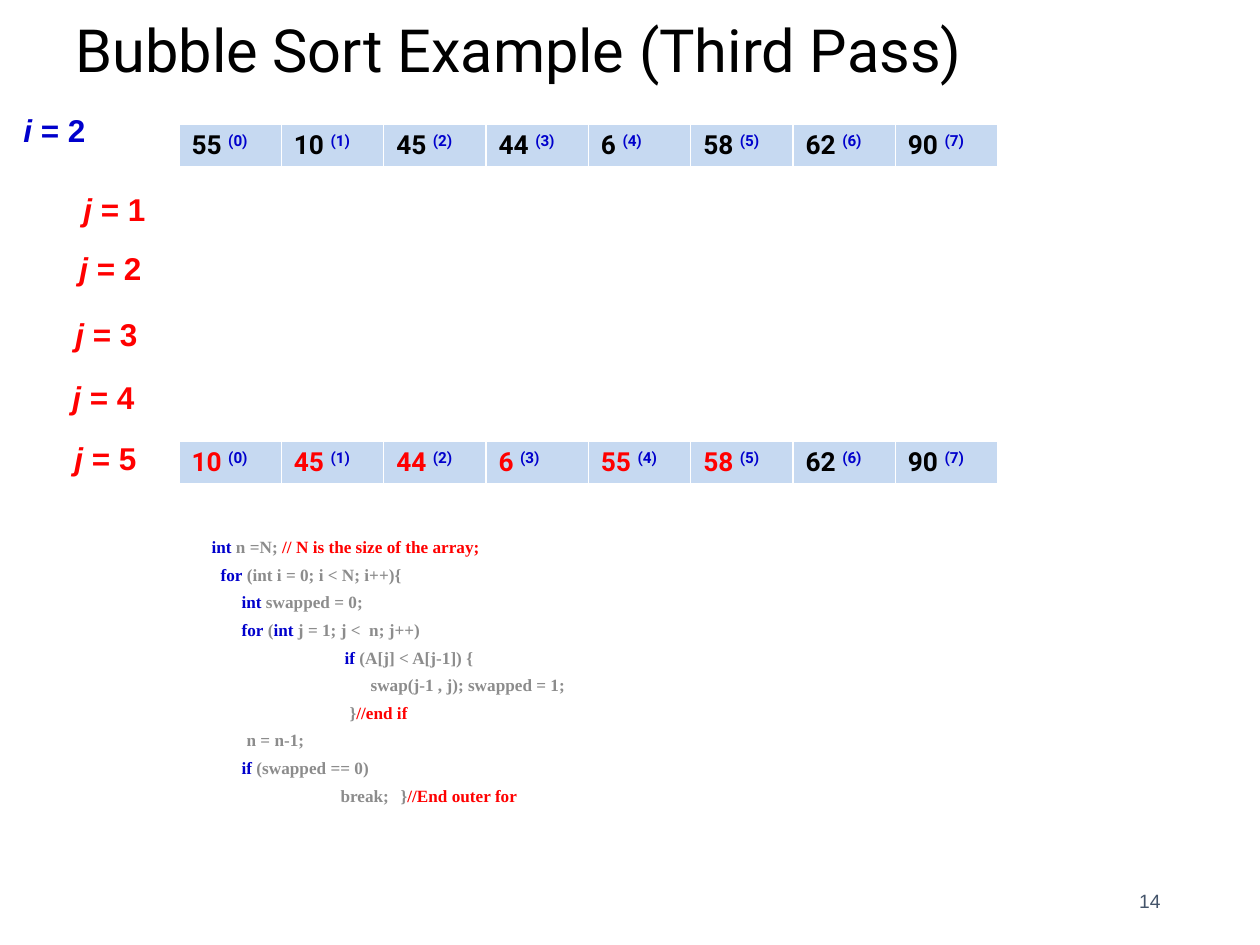
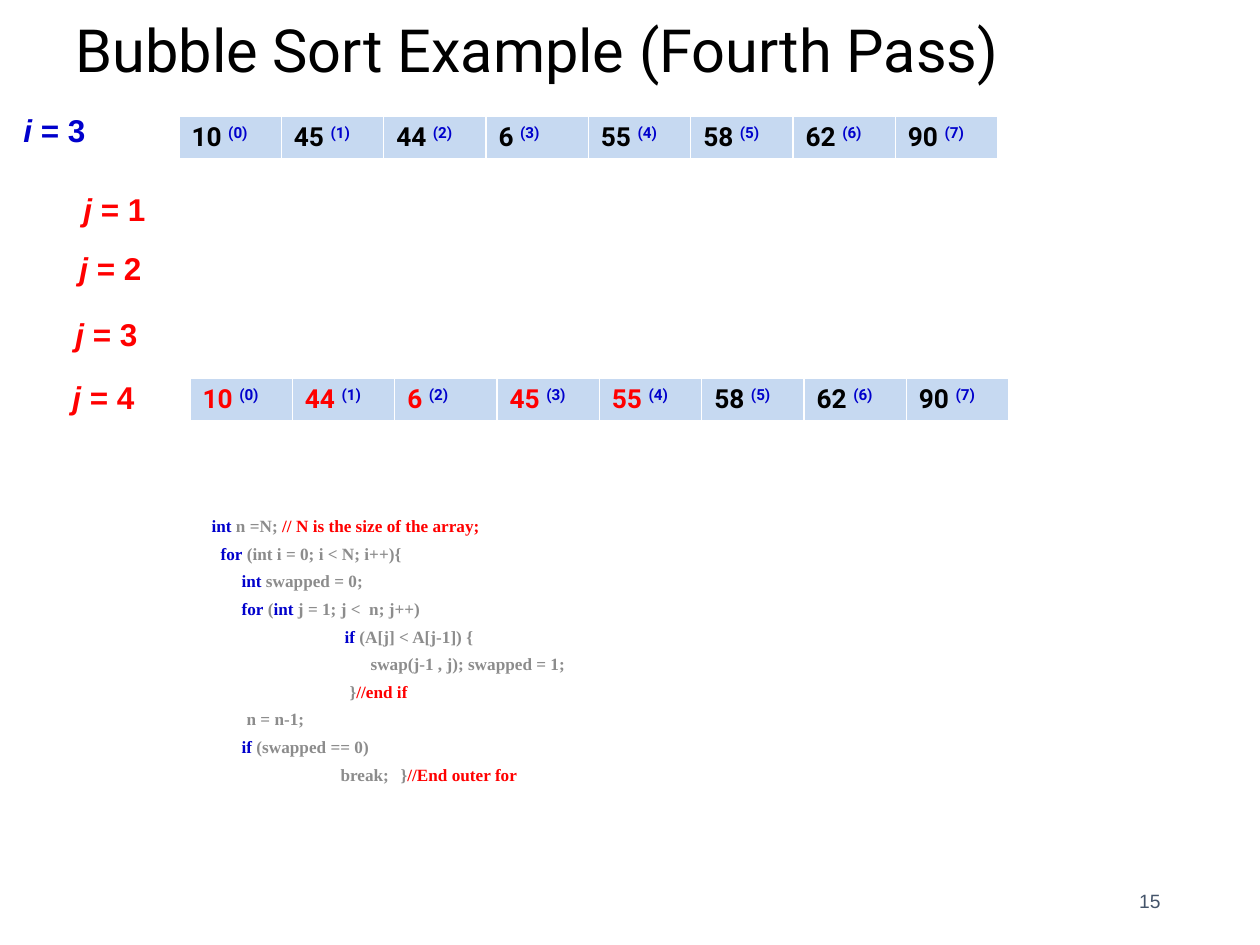
import pptx
import pptx.dml.color
import pptx.enum.text
import pptx.oxml
import pptx.oxml.ns
import pptx.util

EMU_PER_PX = 914400 / 126
COLORS = {"black": "000000", "blue": "0000CC", "red": "FF0000", "gray": "8C8C8C",
          "slate": "44546A", "cell": "C6D9F1", "white": "FFFFFF"}
ALIGN = pptx.enum.text.PP_ALIGN
ANCHOR = pptx.enum.text.MSO_ANCHOR
AUTO_SIZE = pptx.enum.text.MSO_AUTO_SIZE

STEP_SPOTS = [(71, 184), (67, 243), (63, 309), (60, 372), (62, 433)]
BRACE_TAB = 259  # where the closing brace of the outer loop stands

# Each line of code: its indent, then its pieces as (text, colour)
CODE = [
    (0, [("int", "blue"), (" n =N; ", "gray"), ("// N is the size of the array;", "red")]),
    (9, [("for", "blue"), (" (int i = 0; i < N; i++){", "gray")]),
    (30, [("int", "blue"), (" swapped = 0;", "gray")]),
    (30, [("for", "blue"), (" (", "gray"), ("int", "blue"), (" j = 1; j <  n; j++)", "gray")]),
    (133, [("if", "blue"), (" (A[j] < A[j-1]) {", "gray")]),
    (159, [("swap(j-1 , j); swapped = 1;", "gray")]),
    (138, [("}", "gray"), ("//end if", "red")]),
    (35, [("n = n-1;", "gray")]),
    (30, [("if ", "blue"), ("(swapped == 0)", "gray")]),
    (129, [("break;\t}", "gray"), ("//End outer for", "red")]),
]

# Arrays: left, top, values, and how many leading values are red
PASSES = [
    {"title": "Bubble Sort Example (Third Pass)", "i": 2, "steps": 5, "code_top": 536, "page": 14,
     "arrays": [(179, 124, [55, 10, 45, 44, 6, 58, 62, 90], 0),
                (179, 441, [10, 45, 44, 6, 55, 58, 62, 90], 6)]},
    {"title": "Bubble Sort Example (Fourth Pass)", "i": 3, "steps": 4, "code_top": 515, "page": 15,
     "arrays": [(179, 116, [10, 45, 44, 6, 55, 58, 62, 90], 0),
                (190, 378, [10, 44, 6, 45, 55, 58, 62, 90], 5)]},
]


def px(length):
    return pptx.util.Emu(round(length * EMU_PER_PX))


def rgb(color):
    return pptx.dml.color.RGBColor.from_string(COLORS[color])


def add_text(paragraph, text, font="Arial", size=18, color="black", bold=False,
             italic=False, raised=False):
    run = paragraph.add_run()
    run.text = text
    run.font.name = font
    run.font.size = pptx.util.Pt(size)
    run.font.color.rgb = rgb(color)
    run.font.bold = bold
    run.font.italic = italic
    if raised:
        run._r.get_or_add_rPr().set("baseline", "30000")


def add_border(cell, side, points):
    line = pptx.oxml.parse_xml(
        f'<a:ln{side} {pptx.oxml.ns.nsdecls("a")} w="{pptx.util.Pt(points)}"><a:solidFill>'
        f'<a:srgbClr val="{COLORS["white"]}"/></a:solidFill></a:ln{side}>')
    cell._tc.get_or_add_tcPr().append(line)


def indent_code(paragraph, indent):
    """Indent without a bullet; the tab stop is measured from the text edge."""
    properties = paragraph._p.get_or_add_pPr()
    properties.set("marL", "0")
    properties.set("indent", str(px(indent)))
    for inner in ("<a:buNone {}/>",
                  f'<a:tabLst {{}}><a:tab pos="{px(BRACE_TAB)}" algn="l"/></a:tabLst>'):
        properties.append(pptx.oxml.parse_xml(inner.format(pptx.oxml.ns.nsdecls("a"))))


class Deck:
    def __init__(self):
        self.presentation = pptx.Presentation()
        self.presentation.slide_width = px(1260)
        self.presentation.slide_height = px(945)
        self.slide = None

    def start_slide(self, title):
        self.slide = self.presentation.slides.add_slide(self.presentation.slide_layouts[1])
        frame = self.place(self.slide.shapes.title, 63, 0, 998, 92)
        frame.vertical_anchor = ANCHOR.BOTTOM
        heading = frame.paragraphs[0]
        heading.alignment = ALIGN.LEFT
        heading.line_spacing = 0.9
        add_text(heading, title, font="Roboto", size=34)

    def place(self, holder, left, top, width, height):
        holder.left, holder.top = px(left), px(top)
        holder.width, holder.height = px(width), px(height)
        holder.text_frame.auto_size = AUTO_SIZE.NONE
        return holder.text_frame

    def box(self, left, top, width, height, wrap):
        shape = self.slide.shapes.add_textbox(px(left), px(top), px(width), px(height))
        shape.text_frame.word_wrap = wrap
        return shape.text_frame

    def counter(self, name, value, left, top, color):
        frame = self.box(left, top, 87, 50, wrap=False)
        frame.auto_size = AUTO_SIZE.SHAPE_TO_FIT_TEXT
        add_text(frame.paragraphs[0], name, color=color, bold=True, italic=True)
        add_text(frame.paragraphs[0], f" = {value}", color=color, bold=True)

    def code(self, top):
        frame = self.place(self.slide.placeholders[1], 199, top, 630, 315)
        for number, (indent, pieces) in enumerate(CODE):
            line = frame.add_paragraph() if number else frame.paragraphs[0]
            line.line_spacing = 0.7
            line.space_before = pptx.util.Pt(7.5)
            indent_code(line, indent)
            for text, color in pieces:
                add_text(line, text, font="Times New Roman", size=9.8, color=color, bold=True)

    def array(self, left, top, values, red_count):
        table = self.slide.shapes.add_table(1, len(values), px(left), px(top),
                                            px(819), px(44)).table
        table.first_row = table.horz_banding = False
        for index, value in enumerate(values):
            cell = table.cell(0, index)
            for side, points in (("L", 1), ("R", 1), ("T", 1), ("B", 3)):
                add_border(cell, side, points)
            cell.fill.solid()
            cell.fill.fore_color.rgb = rgb("cell")
            content = cell.text_frame.paragraphs[0]
            color = "red" if index < red_count else "black"
            add_text(content, f"{value} ", font="Roboto", size=15, color=color, bold=True)
            add_text(content, f"({index})", font="Roboto", size=15, color="blue",
                     bold=True, raised=True)

    def page_number(self, number):
        frame = self.box(890, 876, 283, 50, wrap=True)
        frame.vertical_anchor = ANCHOR.MIDDLE
        frame.paragraphs[0].alignment = ALIGN.RIGHT
        add_text(frame.paragraphs[0], str(number), size=11, color="slate")


def main():
    deck = Deck()
    for sort_pass in PASSES:
        deck.start_slide(sort_pass["title"])
        deck.counter("i", sort_pass["i"], 11, 105, "blue")
        for step, (left, top) in enumerate(STEP_SPOTS[:sort_pass["steps"]], start=1):
            deck.counter("j", step, left, top, "red")
        deck.code(sort_pass["code_top"])
        for array in sort_pass["arrays"]:
            deck.array(*array)
        deck.page_number(sort_pass["page"])
    deck.presentation.save("out.pptx")


if __name__ == "__main__":
    main()
